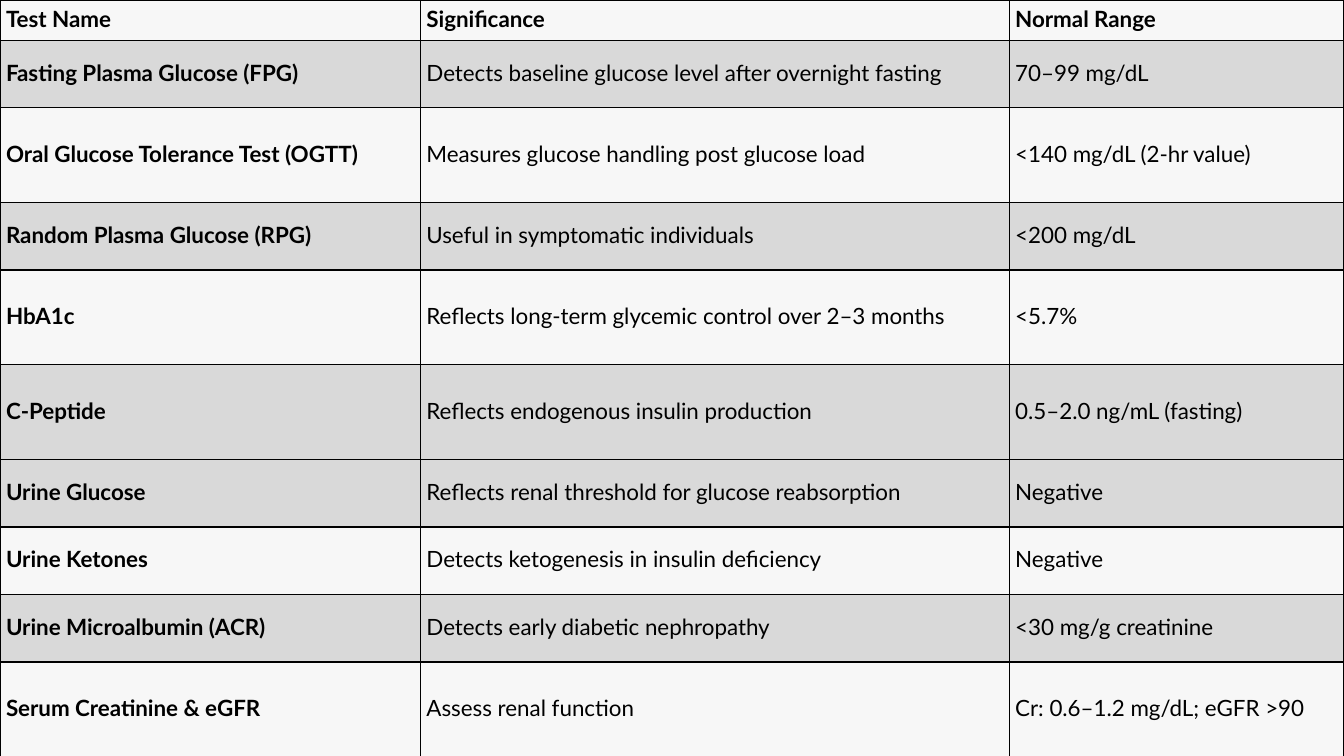
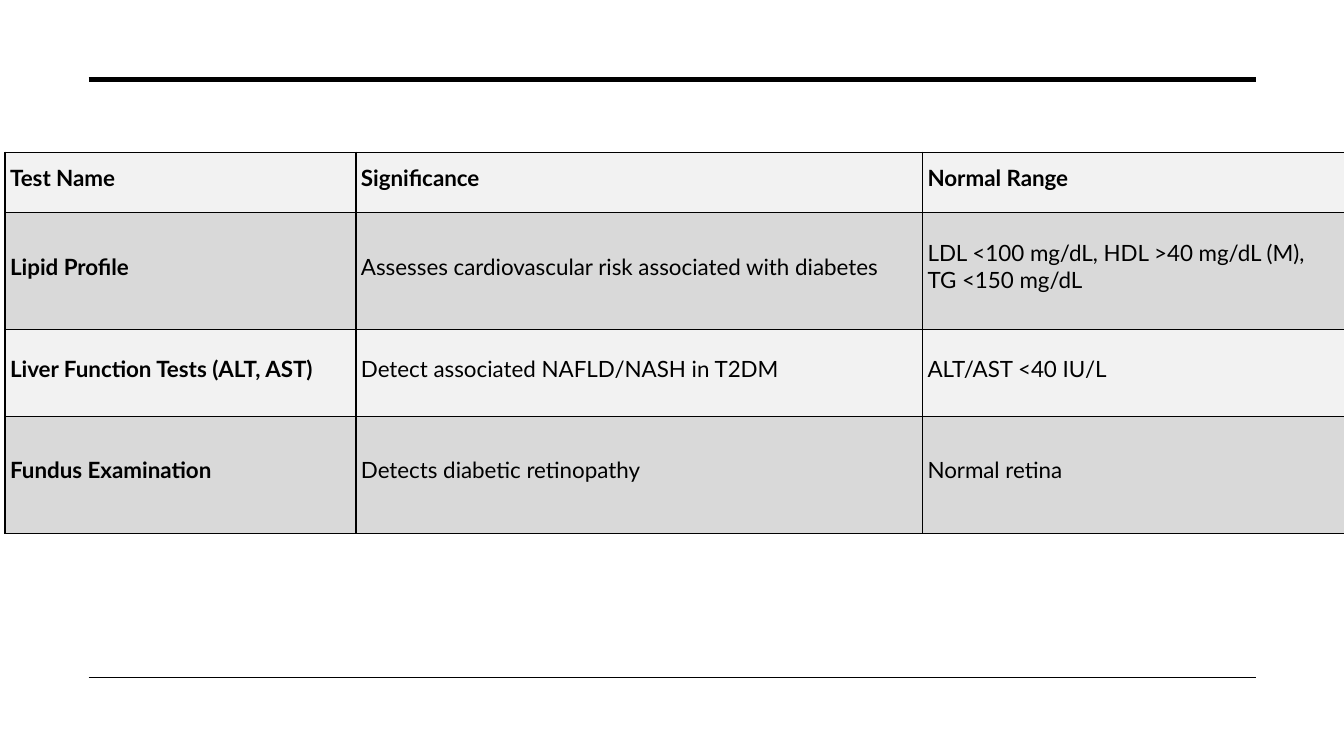
"""Build two slides of diabetes laboratory test tables."""
from dataclasses import dataclass

from lxml import etree
from pptx import Presentation
from pptx.dml.color import RGBColor
from pptx.enum import shapes, text
from pptx.oxml import ns
from pptx.util import Inches, Pt

BLACK = RGBColor(0x00, 0x00, 0x00)
WHITE = RGBColor(0xFF, 0xFF, 0xFF)
GREY = RGBColor(0xD9, 0xD9, 0xD9)
PALE = RGBColor(0xF7, 0xF7, 0xF7)
LIGHT = RGBColor(0xF2, 0xF2, 0xF2)
FONT = "Lato"
TEXT_SIZE = Pt(16)
BORDER = Pt(1)
HEADINGS = ("Test Name", "Significance", "Normal Range")


@dataclass(frozen=True)
class Rule:
    top: float
    weight: float


@dataclass(frozen=True)
class Test:
    name: str
    significance: str
    normal: str
    height: float
    shaded: bool = False


@dataclass(frozen=True)
class TestTable:
    left: float
    top: float
    widths: tuple[float, ...]
    insets: tuple[float, float, float, float]
    plain: RGBColor
    tests: tuple[Test, ...]


RULES = (Rule(0.79, 3.5), Rule(6.72, 1))
SHORT, MEDIUM, TALL = 0.4, 0.67, 0.94

TABLES = (
    TestTable(0, 0, (4.17, 5.84, 3.32), (0.06, 0.03, 0.06, 0.06), PALE, (
        Test(*HEADINGS, SHORT),
        Test("Fasting Plasma Glucose (FPG)",
             "Detects baseline glucose level after overnight fasting",
             "70–99 mg/dL", MEDIUM, True),
        Test("Oral Glucose Tolerance Test (OGTT)",
             "Measures glucose handling post glucose load",
             "<140 mg/dL (2-hr value)", TALL),
        Test("Random Plasma Glucose (RPG)", "Useful in symptomatic individuals",
             "<200 mg/dL", MEDIUM, True),
        Test("HbA1c", "Reflects long-term glycemic control over 2–3 months",
             "<5.7%", TALL),
        Test("C-Peptide", "Reflects endogenous insulin production",
             "0.5–2.0 ng/mL (fasting)", TALL, True),
        Test("Urine Glucose", "Reflects renal threshold for glucose reabsorption",
             "Negative", MEDIUM, True),
        Test("Urine Ketones", "Detects ketogenesis in insulin deficiency",
             "Negative", MEDIUM),
        Test("Urine Microalbumin (ACR)", "Detects early diabetic nephropathy",
             "<30 mg/g creatinine", MEDIUM, True),
        Test("Serum Creatinine & eGFR", "Assess renal function",
             "Cr: 0.6–1.2 mg/dL; eGFR >90", TALL),
    )),
    TestTable(0.05, 1.51, (3.48, 5.62, 4.19), (0.05, 0.01, 0.07, 0.1), LIGHT, (
        Test(*HEADINGS, 0.6),
        Test("Lipid Profile", "Assesses cardiovascular risk associated with diabetes",
             "LDL <100 mg/dL, HDL >40 mg/dL (M), TG <150 mg/dL", 1.16, True),
        Test("Liver Function Tests (ALT, AST)", "Detect associated NAFLD/NASH in T2DM",
             "ALT/AST <40 IU/L", 0.86),
        Test("Fundus Examination", "Detects diabetic retinopathy",
             "Normal retina", 1.16, True),
    )),
)


def add_layout_rule(page, rule: Rule) -> None:
    """Draw a horizontal rule and hand it to the layout of the page."""
    line = page.shapes.add_connector(
        shapes.MSO_CONNECTOR.STRAIGHT,
        Inches(0.88), Inches(rule.top), Inches(12.46), Inches(rule.top))
    line.line.color.rgb = BLACK
    line.line.width = Pt(rule.weight)
    etree.SubElement(line.element.spPr, ns.qn("a:effectLst"))
    page.slide_layout.shapes.element.append(line.element)


def add_borders(cell) -> None:
    """Give a cell a thin black line on every side."""
    properties = cell._tc.get_or_add_tcPr()
    for side in ("lnL", "lnR", "lnT", "lnB"):
        border = etree.SubElement(properties, ns.qn(f"a:{side}"), w=str(BORDER))
        fill = etree.SubElement(border, ns.qn("a:solidFill"))
        etree.SubElement(fill, ns.qn("a:srgbClr"), val=str(BLACK))


def fill_cell(cell, words: str, bold: bool, colour: RGBColor,
              insets: tuple[float, float, float, float]) -> None:
    """Write and format one table cell."""
    add_borders(cell)
    cell.fill.solid()
    cell.fill.fore_color.rgb = colour
    cell.vertical_anchor = text.MSO_ANCHOR.MIDDLE
    (cell.margin_left, cell.margin_top,
     cell.margin_right, cell.margin_bottom) = map(Inches, insets)
    span = cell.text_frame.paragraphs[0].add_run()
    span.text = words
    span.font.name = FONT
    span.font.size = TEXT_SIZE
    span.font.bold = bold
    span.font.color.rgb = BLACK


def add_test_table(page, content: TestTable) -> None:
    """Place a table of tests on the page."""
    table = page.shapes.add_table(
        len(content.tests), len(content.widths),
        Inches(content.left), Inches(content.top),
        Inches(sum(content.widths)),
        Inches(sum(test.height for test in content.tests))).table
    table.horz_banding = False
    for column, width in zip(table.columns, content.widths):
        column.width = Inches(width)
    for row_number, (row, test) in enumerate(zip(table.rows, content.tests)):
        row.height = Inches(test.height)
        colour = GREY if test.shaded else content.plain
        entries = (test.name, test.significance, test.normal)
        for column_number, (cell, words) in enumerate(zip(row.cells, entries)):
            bold = row_number == 0 or column_number == 0
            fill_cell(cell, words, bold, colour, content.insets)


def main() -> None:
    """Build and save the deck."""
    deck = Presentation()
    deck.slide_width, deck.slide_height = Inches(13.33), Inches(7.5)
    background = deck.slide_master.background.fill
    background.solid()
    background.fore_color.rgb = WHITE
    layout = deck.slide_layouts.get_by_name("Blank")
    pages = [deck.slides.add_slide(layout) for _ in TABLES]
    for rule in RULES:
        add_layout_rule(pages[0], rule)
    for page, content in zip(pages, TABLES):
        add_test_table(page, content)
    deck.save("out.pptx")


if __name__ == "__main__":
    main()
